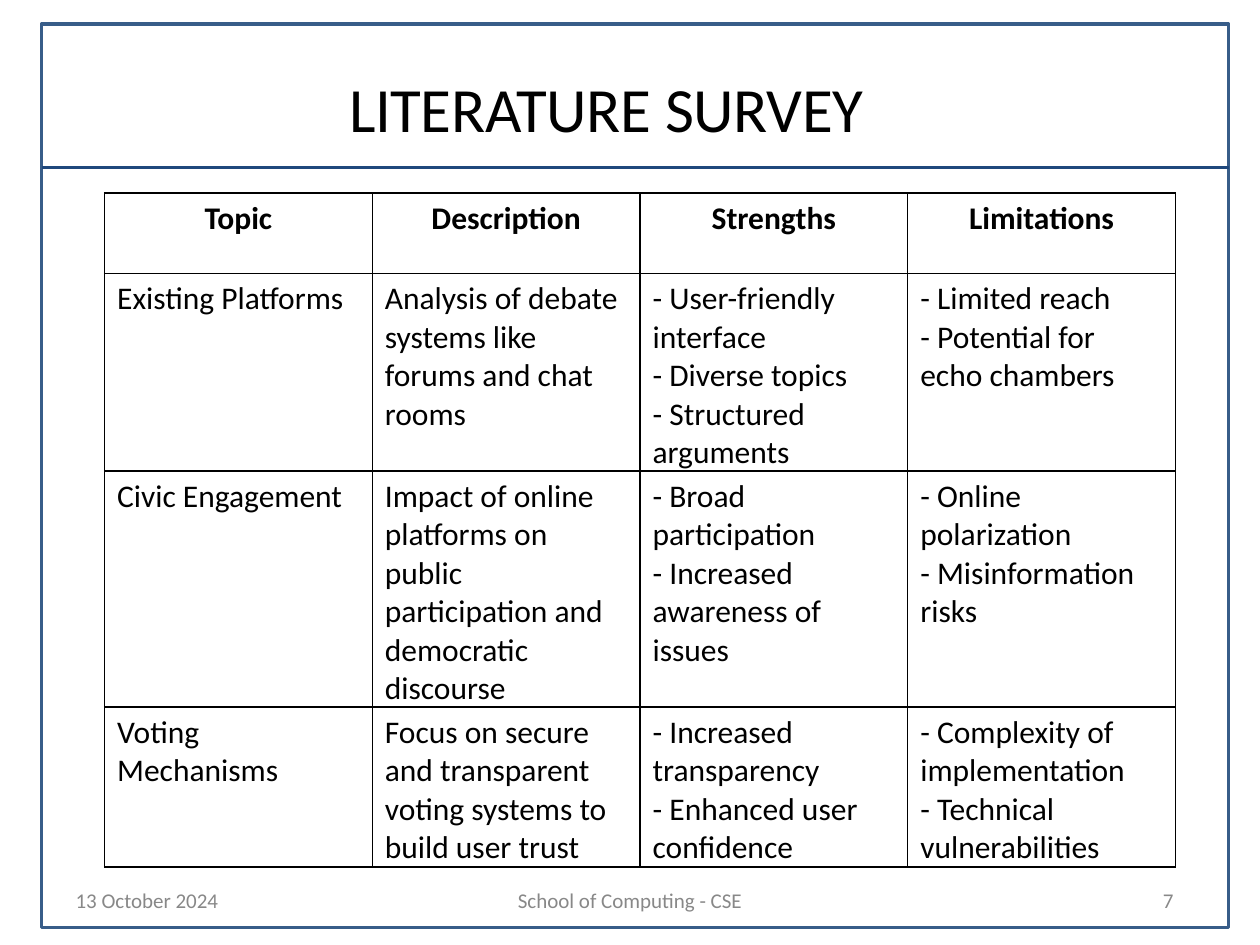
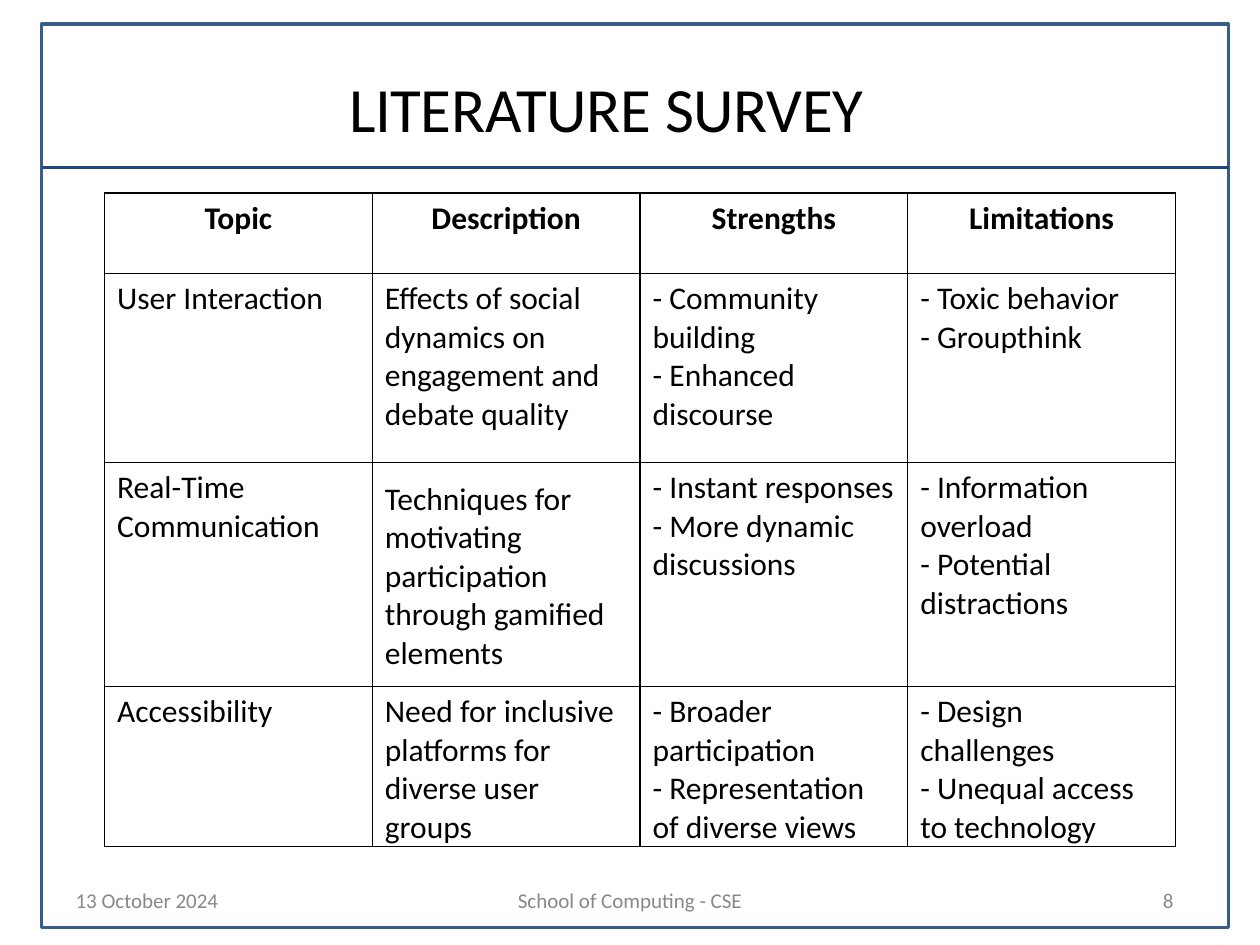
from dataclasses import dataclass

from lxml.etree import SubElement
from pptx import Presentation
from pptx.dml.color import RGBColor
from pptx.enum.shapes import MSO_CONNECTOR, MSO_SHAPE
from pptx.enum.text import MSO_ANCHOR, PP_ALIGN
from pptx.oxml import parse_xml
from pptx.oxml.ns import nsdecls, qn
from pptx.util import Inches, Pt


@dataclass(frozen=True)
class Theme:
    font: str = "Calibri"
    ink: str = "000000"
    muted: str = "888888"
    frame: str = "385D89"
    rule: str = "1F487C"
    title_size: float = 36
    table_size: float = 18
    footer_size: float = 12
    frame_width: float = 2
    border_width: float = 1


HEADINGS = ["Topic", "Description", "Strengths", "Limitations"]
COLUMN_WIDTH = 2.125
ROW_HEIGHTS = [0.64, 1.5, 1.78, 1.22]
CENTRED_CELL = (2, 1)

FIRST_SURVEY = [
    ["Existing Platforms",
     "Analysis of debate systems like forums and chat rooms",
     "- User-friendly interface\n- Diverse topics\n- Structured arguments",
     "- Limited reach\n- Potential for echo chambers"],
    ["Civic Engagement",
     "Impact of online platforms on public participation and democratic discourse",
     "- Broad participation\n- Increased awareness of issues",
     "- Online polarization\n- Misinformation risks"],
    ["Voting Mechanisms",
     "Focus on secure and transparent voting systems to build user trust",
     "- Increased transparency\n- Enhanced user confidence",
     "- Complexity of implementation\n- Technical vulnerabilities"],
]
SECOND_SURVEY = [
    ["User Interaction",
     "Effects of social dynamics on engagement and debate quality",
     "- Community building\n- Enhanced discourse",
     "- Toxic behavior\n- Groupthink"],
    ["Real-Time Communication",
     "Techniques for motivating participation through gamified elements",
     "- Instant responses\n- More dynamic discussions",
     "- Information overload\n- Potential distractions"],
    ["Accessibility",
     "Need for inclusive platforms for diverse user groups",
     "- Broader participation\n- Representation of diverse views",
     "- Design challenges\n- Unequal access to technology"],
]


class SurveyDeck:
    def __init__(self, theme):
        self.theme = theme
        self.presentation = Presentation()
        self.presentation.slide_width = Inches(10)
        self.presentation.slide_height = Inches(7.5)
        self.slide = None

    def new_slide(self):
        blank = self.presentation.slide_layouts[6]
        self.slide = self.presentation.slides.add_slide(blank)

    def style_line(self, line, color):
        line.color.rgb = RGBColor.from_string(color)
        line.width = Pt(self.theme.frame_width)

    def style_text(self, paragraph, size, color, bold=False):
        for run in paragraph.runs:
            run.font.name = self.theme.font
            run.font.size = Pt(size)
            run.font.bold = bold
            run.font.color.rgb = RGBColor.from_string(color)

    def frame(self):
        border = self.slide.shapes.add_shape(
            MSO_SHAPE.RECTANGLE, Inches(0.33), Inches(0.19), Inches(9.42), Inches(7.17))
        border.shadow.inherit = False
        border.fill.background()
        self.style_line(border.line, self.theme.frame)

    def title_rule(self):
        rule = self.slide.shapes.add_connector(
            MSO_CONNECTOR.STRAIGHT, Inches(0.33), Inches(1.33), Inches(9.75), Inches(1.33))
        self.style_line(rule.line, self.theme.rule)
        SubElement(rule._element.spPr, qn("a:effectLst"))

    def text(self, words, left, top, width, height, size, color, indent=0.01, inset_top=0):
        box = self.slide.shapes.add_textbox(
            Inches(left), Inches(top), Inches(width), Inches(height))
        frame = box.text_frame
        frame.word_wrap = True
        frame.margin_left = Inches(indent)
        frame.margin_top = Inches(inset_top)
        frame.margin_right = frame.margin_bottom = 0
        frame.text = words
        self.style_text(frame.paragraphs[0], size, color)
        return frame.paragraphs[0]

    def title(self, words):
        heading = self.text(words, 0.68, 0.43, 8.42, 0.76, self.theme.title_size,
                            self.theme.ink, indent=2.09, inset_top=0.12)
        heading.runs[0]._r.get_or_add_rPr().set("spc", "-20")

    def footer(self, number):
        parts = [("13 October 2024", 0.59, 1.16, 0.01),
                 ("School of Computing - CSE", 4.1, 1.81, 0.01),
                 (str(number), 9.19, 0.27, 0.04)]
        for words, left, width, indent in parts:
            part = self.text(words, left, 7.07, width, 0.19,
                             self.theme.footer_size, self.theme.muted, indent)
            part.line_spacing = Pt(12.4)

    def cell_borders(self, cell):
        properties = cell._tc.get_or_add_tcPr()
        for position, side in enumerate(["lnL", "lnR", "lnT", "lnB"]):
            properties.insert(position, parse_xml(
                f'<a:{side} {nsdecls("a")} w="{Pt(self.theme.border_width)}">'
                f'<a:solidFill><a:srgbClr val="{self.theme.ink}"/></a:solidFill>'
                f'</a:{side}>'))

    def survey_table(self, findings):
        rows = [HEADINGS] + findings
        table = self.slide.shapes.add_table(
            len(rows), len(HEADINGS), Inches(0.83), Inches(1.53),
            Inches(COLUMN_WIDTH * len(HEADINGS)), Inches(sum(ROW_HEIGHTS))).table
        table.first_row = table.horz_banding = False
        for column in table.columns:
            column.width = Inches(COLUMN_WIDTH)
        for r, (entries, height) in enumerate(zip(rows, ROW_HEIGHTS)):
            table.rows[r].height = Inches(height)
            for c, entry in enumerate(entries):
                cell = table.cell(r, c)
                cell.text_frame.text = entry
                cell.margin_bottom = Inches(0.02)
                cell.fill.background()
                self.cell_borders(cell)
                if (r, c) == CENTRED_CELL:
                    cell.vertical_anchor = MSO_ANCHOR.MIDDLE
                for paragraph in cell.text_frame.paragraphs:
                    paragraph.alignment = PP_ALIGN.LEFT if r else PP_ALIGN.CENTER
                    self.style_text(paragraph, self.theme.table_size,
                                    self.theme.ink, bold=r == 0)

    def survey_slide(self, number, findings):
        self.new_slide()
        self.frame()
        self.title_rule()
        self.title("LITERATURE SURVEY")
        self.footer(number)
        self.survey_table(findings)


def main():
    deck = SurveyDeck(Theme())
    for number, findings in enumerate([FIRST_SURVEY, SECOND_SURVEY], start=7):
        deck.survey_slide(number, findings)
    deck.presentation.save("out.pptx")


if __name__ == "__main__":
    main()
